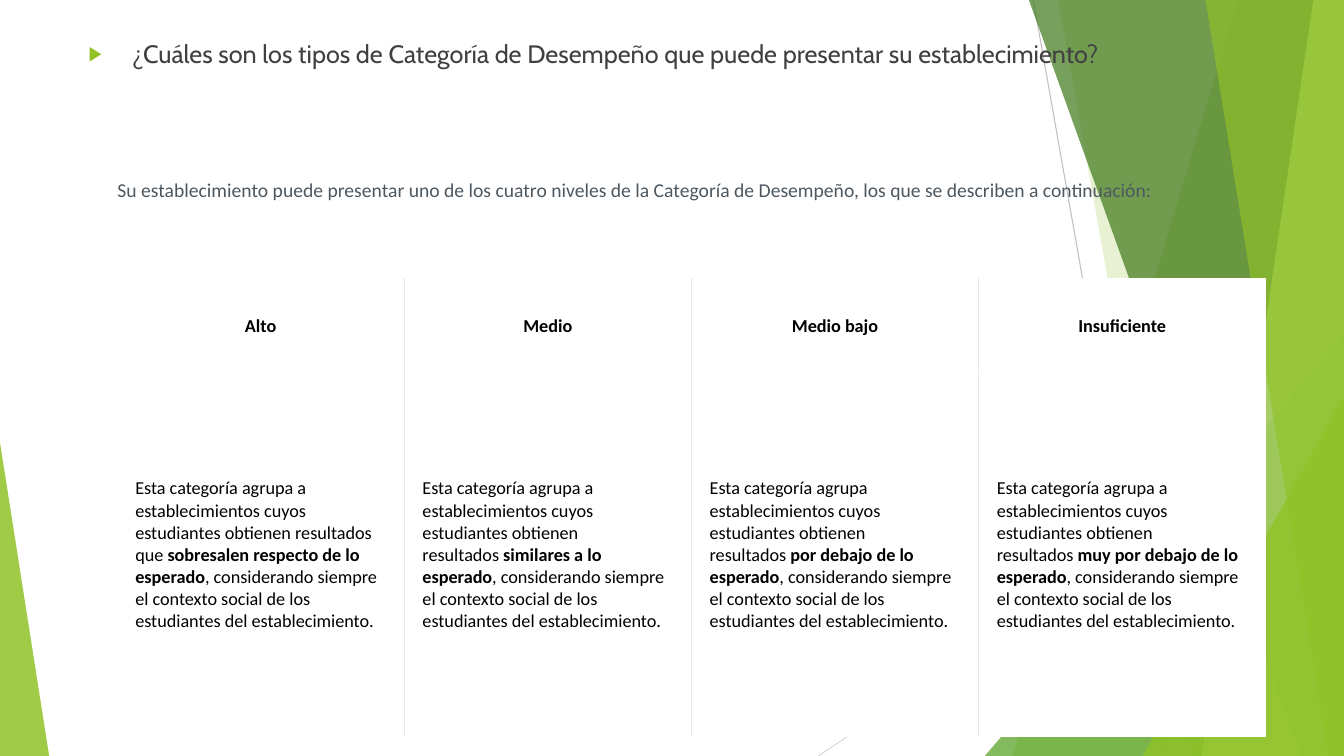
"""Build the slide on the four performance categories of a school."""
from lxml import etree
from pptx import Presentation
from pptx.dml.color import RGBColor
from pptx.enum.shapes import MSO_CONNECTOR, MSO_SHAPE
from pptx.enum.text import MSO_ANCHOR, MSO_AUTO_SIZE, PP_ALIGN
from pptx.oxml.ns import qn
from pptx.util import Cm, Pt

LINE = MSO_CONNECTOR.STRAIGHT
WEDGE = MSO_SHAPE.ISOSCELES_TRIANGLE
MIDDLE, TOP = MSO_ANCHOR.MIDDLE, MSO_ANCHOR.TOP
CENTER, LEFT = PP_ALIGN.CENTER, PP_ALIGN.LEFT
FIXED = MSO_AUTO_SIZE.NONE

HEX = {
    "lime": "90C226", "leaf": "54A021", "dark": "3F7819", "pale": "C0E474",
    "white": "FFFFFF", "black": "000000", "title": "404040", "intro": "4D5760",
    "rule": "E7E7E7", "gray": "BFBFBF", "light": "D9D9D9",
}
GLUE = chr(160)
TITLE = "¿Cuáles son los tipos de Categoría de Desempeño que puede presentar su establecimiento?"
INTRO = ("Su establecimiento puede presentar uno de los cuatro niveles de la "
         "Categoría de Desempeño, los que se describen a continuación:")
HEAD = "Esta categoría agrupa {}establecimientos cuyos estudiantes obtienen resultados{}"
TAIL = ", considerando siempre el contexto social de los estudiantes del establecimiento."
LEVELS = [
    ("Alto", "a ", " que", "sobresalen respecto de lo esperado"),
    ("Medio", "a ", "", "similares a lo esperado"),
    ("Medio bajo", "", "", "por debajo de lo esperado"),
    ("Insuficiente", "a ", "", "muy por debajo de lo esperado"),
]
WIDE, HIGH = 33.87, 19.05
RULES = [((26.04, 0), (29.41, HIGH), "gray"), ((WIDE, 10.24), (20.62, HIGH), "light")]
DECOR = [
    ("band", (31.19, 25.51), "lime", 30),
    ("band", (26.67, 30.05), "lime", 20),
    ("wedge", (24.82, 8.46, 9.05, 10.59, 1), "leaf", 72),
    ("band", (25.93, 32.79), "dark", 70),
    ("band", (33.1, 30.28), "pale", 70),
    ("band", (30.38, 33.48), "lime", 65),
    ("wedge", (28.8, 9.98, 5.07, 9.07, 1), "lime", 80),
    ("wedge", (0, 11.15, 1.24, 7.9, 0), "lime", 85),
]
BODY = (1.98, 0.84, 29.57, 16.33)
NOTE = (2.96, 4.49, 28.58, 1.07)
GRID = (2.95, 7.01, 28.95, 11.55)
ROWS = (2.41, 9.14)
HANG = 1.09


def rgb(name):
    return RGBColor.from_string(HEX[name])


def dress(item, **looks):
    for key, value in looks.items():
        setattr(item, key, value)


def write(para, text, font, size, color, bold=False):
    run = para.add_run()
    run.text = text
    dress(run.font, name=font, size=Pt(size), bold=bold)
    run.font.color.rgb = rgb(color)


def add(parent, tag, **attrs):
    return etree.SubElement(parent, qn(tag), attrs)


def draw_rule(shapes, start, end, color):
    rule = shapes.add_connector(LINE, *map(Cm, start + end))
    rule.line.color.rgb = rgb(color)
    rule.line.width = Pt(0.75)
    add(rule._element.spPr, "a:effectLst")


def draw_decor(shapes, kind, data, color, alpha):
    if kind == "band":
        top, low = data
        pen = shapes.build_freeform(Cm(top), 0)
        edge = [(WIDE, 0), (WIDE, HIGH), (low, HIGH)]
        pen.add_line_segments([(Cm(x), Cm(y)) for x, y in edge])
        shape = pen.convert_to_shape()
    else:
        shape = shapes.add_shape(WEDGE, *map(Cm, data[:4]))
        shape.adjustments[0] = data[4]
    shape.shadow.inherit = False
    shape.line.fill.background()
    shape.fill.solid()
    shape.fill.fore_color.rgb = rgb(color)
    tint = shape._element.spPr.find(qn("a:solidFill"))[0]
    add(tint, "a:alpha", val=str(alpha * 1000))


def fill_title(body):
    left, top, width, height = map(Cm, BODY)
    dress(body, left=left, top=top, width=width, height=height)
    dress(body.text_frame, auto_size=FIXED, vertical_anchor=TOP)
    para = body.text_frame.paragraphs[0]
    para.space_before = Pt(10)
    write(para, TITLE, "Cabin", 18, "title")
    props = para._p.get_or_add_pPr()
    props.set("marL", str(Cm(HANG)))
    props.set("indent", str(-Cm(HANG)))
    add(add(props, "a:buClr"), "a:srgbClr", val=HEX["lime"])
    add(props, "a:buSzPct", val="80000")
    add(props, "a:buFont", typeface="Arial")
    add(props, "a:buChar", char="▶")


def fill_cell(cell, align, runs, sides):
    dress(cell, vertical_anchor=MIDDLE, margin_left=Cm(0.46), margin_right=Cm(0.46),
          margin_top=Cm(0.1), margin_bottom=Cm(0.1))
    props = cell._tc.get_or_add_tcPr()
    for tag in sides:
        side = add(props, tag, w=str(Pt(0.75)))
        add(add(side, "a:solidFill"), "a:srgbClr", val=HEX["rule"])
    cell.fill.solid()
    cell.fill.fore_color.rgb = rgb("white")
    para = cell.text_frame.paragraphs[0]
    para.alignment = align
    for text, bold in runs:
        write(para, text, "Calibri", 13, "black", bold)


def draw_table(shapes):
    table = shapes.add_table(2, len(LEVELS), *map(Cm, GRID)).table
    dress(table, first_row=False, horz_banding=False)
    for row, height in zip(table.rows, ROWS):
        row.height = Cm(height)
    last = len(LEVELS) - 1
    for col, (name, link, join, key) in enumerate(LEVELS):
        sides = ["a:lnL"] * (col > 0) + ["a:lnR"] * (col < last)
        lead = HEAD.format(link, join)
        text = [(lead, False), (GLUE + key, True), (TAIL, False)]
        fill_cell(table.cell(0, col), CENTER, [(name, True)], sides)
        fill_cell(table.cell(1, col), LEFT, text, sides)


def draw_intro(shapes):
    frame = shapes.add_textbox(*map(Cm, NOTE)).text_frame
    dress(frame, word_wrap=True, vertical_anchor=TOP, margin_left=0, margin_right=0,
          margin_top=0, margin_bottom=0)
    write(frame.paragraphs[0], INTRO, "Calibri", 14, "intro")


def main():
    deck = Presentation()
    dress(deck, slide_width=Cm(WIDE), slide_height=Cm(HIGH))
    slide = deck.slides.add_slide(deck.slide_layouts[1])
    shapes = slide.shapes
    tree = shapes._spTree
    tree.remove(shapes.title._element)
    for rule in RULES:
        draw_rule(shapes, *rule)
    for decor in DECOR:
        draw_decor(shapes, *decor)
    body = slide.placeholders[1]
    fill_title(body)
    tree.append(body._element)
    draw_table(shapes)
    draw_intro(shapes)
    deck.save("out.pptx")


if __name__ == "__main__":
    main()
